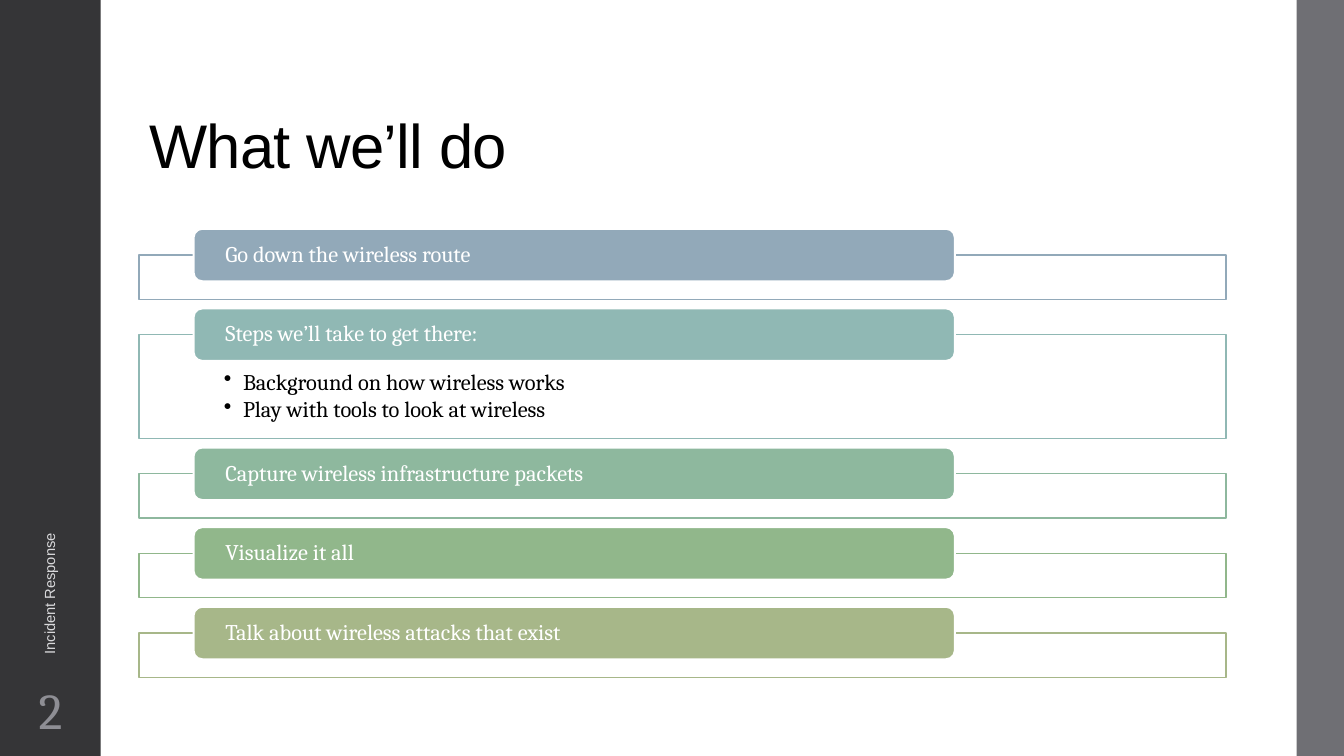
from pptx import Presentation
from pptx.dml.color import RGBColor
from pptx.enum.shapes import MSO_SHAPE as Shape
from pptx.enum.text import MSO_ANCHOR as Anchor, PP_ALIGN as Align
from pptx.oxml.ns import qn
from pptx.util import Inches, Pt
from lxml.etree import SubElement

WHITE = RGBColor(0xFF, 0xFF, 0xFF)
BLACK = RGBColor(0x00, 0x00, 0x00)
CHARCOAL = RGBColor(0x35, 0x35, 0x37)
GREY = RGBColor(0x6F, 0x6F, 0x74)
NUMBER_GREY = RGBColor(0x8E, 0x8E, 0x94)
FOOTER_GREY = RGBColor(0xD9, 0xD9, 0xDB)
SLATE = RGBColor(0x92, 0xA9, 0xB9)
TEAL = RGBColor(0x90, 0xB8, 0xB4)
MINT = RGBColor(0x8E, 0xB8, 0x9E)
LEAF = RGBColor(0x91, 0xB7, 0x8B)
OLIVE = RGBColor(0xA7, 0xB7, 0x89)

HEADING_FONT, BODY_FONT = "Arial", "Cambria"

# Heading, colour, frame height, details
AGENDA = [
    ("Go down the wireless route", SLATE, 0.44, []),
    ("Steps we’ll take to get there:", TEAL, 1.03,
     ["Background on how wireless works", "Play with tools to look at wireless"]),
    ("Capture wireless infrastructure packets", MINT, 0.44, []),
    ("Visualize it all", LEAF, 0.44, []),
    ("Talk about wireless attacks that exist", OLIVE, 0.44, []),
]
FIRST_FRAME_TOP = 2.53
FRAME_GAP = 0.35
LABEL_RISE = 0.26


def add_block(slide, kind, box, fill, outline=None, width=1.1):
    block = slide.shapes.add_shape(kind, *map(Inches, box))
    block.shadow.inherit = False
    block.fill.solid()
    block.fill.fore_color.rgb = fill
    if outline is None:
        block.line.fill.background()
    else:
        block.line.color.rgb = outline
        block.line.width = Pt(width)
    return block


def set_insets(frame, left, top, right, bottom):
    frame.margin_left, frame.margin_top = Inches(left), Inches(top)
    frame.margin_right, frame.margin_bottom = Inches(right), Inches(bottom)


def write(frame, lines, size, color, font=BODY_FONT, anchor=Anchor.MIDDLE,
          align=Align.LEFT):
    frame.word_wrap = True
    frame.vertical_anchor = anchor
    frame.text = "\n".join(lines)
    for paragraph in frame.paragraphs:
        paragraph.alignment = align
        paragraph.line_spacing = 0.9
        for run in paragraph.runs:
            run.font.size = Pt(size)
            run.font.name = font
            run.font.color.rgb = color


def add_bullets(frame):
    for paragraph in frame.paragraphs:
        paragraph.space_after = Pt(2.4)
        properties = paragraph._p.get_or_add_pPr()
        properties.set("marL", str(Inches(0.19)))
        properties.set("indent", str(-Inches(0.19)))
        SubElement(properties, qn("a:buChar"), char="•")


def add_text(slide, box, text, size, color, **style):
    text_box = slide.shapes.add_textbox(*map(Inches, box))
    write(text_box.text_frame, [text], size, color, **style)
    return text_box


def add_agenda_item(slide, top, heading, color, height, details):
    """Draw an outlined frame with its coloured label across the top edge."""
    frame = add_block(slide, Shape.RECTANGLE, (1.38, top, 10.78, height),
                      WHITE, color)
    if details:
        set_insets(frame.text_frame, 0.84, 0.36, 0.84, 0.12)
        write(frame.text_frame, details, 16, BLACK, anchor=Anchor.TOP)
        add_bullets(frame.text_frame)
    label = add_block(slide, Shape.ROUNDED_RECTANGLE,
                      (1.92, top - LABEL_RISE, 7.55, 0.52), color, WHITE, 1.35)
    set_insets(label.text_frame, 0.29, 0, 0.29, 0)
    write(label.text_frame, [heading], 16, WHITE)


def add_side_bands(slide):
    add_block(slide, Shape.RECTANGLE, (0, 0, 1, 7.5), CHARCOAL)
    add_block(slide, Shape.RECTANGLE, (12.86, 0, 0.47, 7.5), GREY)
    footer = add_text(slide, (-1.46, 4.43, 3.92, 0.4), "Incident Response",
                      10.5, FOOTER_GREY, font=HEADING_FONT)
    footer.rotation = 270
    number = add_text(slide, (0, 6.75, 1, 0.65), "2", 36, NUMBER_GREY,
                      align=Align.CENTER)
    set_insets(number.text_frame, 0.05, 0.05, 0.05, 0.05)


def add_title(slide):
    title = add_text(slide, (1.38, 0.4, 10.78, 1.45), "What we’ll do", 44, BLACK,
                     font=HEADING_FONT, anchor=Anchor.BOTTOM)
    run = title.text_frame.paragraphs[0].runs[0]
    run.font._element.set("spc", "-50")


def main():
    deck = Presentation()
    deck.slide_width, deck.slide_height = Inches(13.33), Inches(7.5)
    slide = deck.slides.add_slide(deck.slide_layouts[6])
    add_side_bands(slide)
    add_title(slide)
    top = FIRST_FRAME_TOP
    for heading, color, height, details in AGENDA:
        add_agenda_item(slide, top, heading, color, height, details)
        top += height + FRAME_GAP
    deck.save("out.pptx")


if __name__ == "__main__":
    main()
